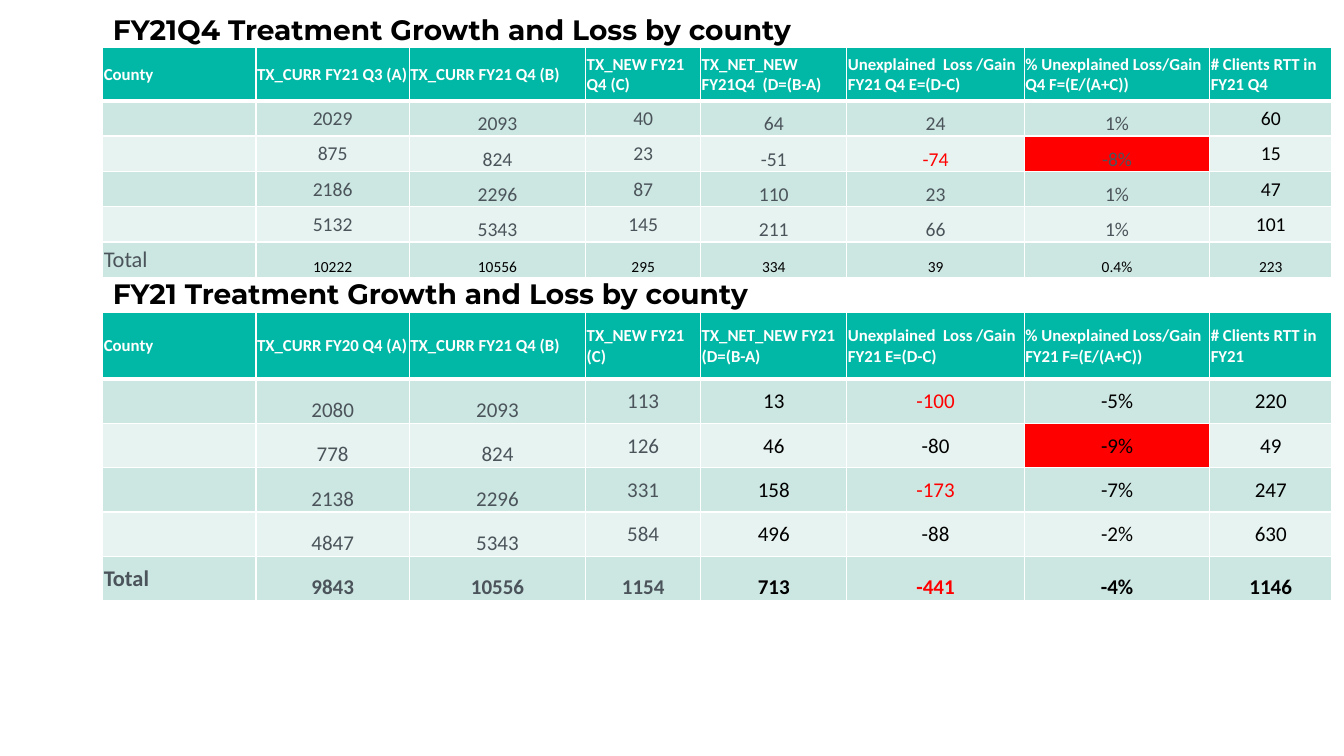
"""Build the slide of treatment growth and loss by county."""
from dataclasses import dataclass

from lxml import etree
from pptx import Presentation
from pptx import util as u
from pptx.dml.color import RGBColor
from pptx.enum import text
from pptx.oxml import ns

EMU_PER_PX = 9144
LEFT, WIDTH = 102, 1219
COLUMNS = [152, 152, 175, 114, 145, 176, 184, 121]
COLORS = {
    "header": "00B8A5", "odd": "CCE6E1", "even": "E7F3F0", "alert": "FF0000",
    "white": "FFFFFF", "black": "000000", "gray": "4B545B",
}
ANCHORS = {"m": text.MSO_ANCHOR.MIDDLE, "b": text.MSO_ANCHOR.BOTTOM}


@dataclass(frozen=True)
class CountyTable:
    top: int
    header_height: int
    row_height: int
    headers: list[str]
    rows: list[list[str]]
    totals: list[str]
    anchors: str
    gray_columns: int
    size: int
    total_size: int
    total_bold: bool
    gray_totals: int
    losses: set[str]
    alert: str


QUARTER = CountyTable(
    top=47, header_height=53, row_height=35,
    headers=["County", "TX_CURR FY21 Q3 (A)", "TX_CURR FY21 Q4 (B)", "TX_NEW FY21 Q4 (C)",
             "TX_NET_NEW FY21Q4  (D=(B-A)", "Unexplained  Loss /Gain FY21 Q4 E=(D-C)",
             "% Unexplained Loss/Gain Q4 F=(E/(A+C))", "# Clients RTT in FY21 Q4"],
    rows=[["", "2029", "2093", "40", "64", "24", "1%", "60"],
          ["", "875", "824", "23", "-51", "-74", "-8%", "15"],
          ["", "2186", "2296", "87", "110", "23", "1%", "47"],
          ["", "5132", "5343", "145", "211", "66", "1%", "101"]],
    totals=["Total", "10222", "10556", "295", "334", "39", "0.4%", "223"],
    anchors="mmbmbbbm", gray_columns=7, size=14, total_size=11, total_bold=False,
    gray_totals=1, losses={"-74"}, alert="-8%",
)
YEAR = CountyTable(
    top=310, header_height=66, row_height=44,
    headers=["County", "TX_CURR FY20 Q4 (A)", "TX_CURR FY21 Q4 (B)", "TX_NEW FY21 (C)",
             "TX_NET_NEW FY21  (D=(B-A)", "Unexplained  Loss /Gain FY21 E=(D-C)",
             "% Unexplained Loss/Gain FY21 F=(E/(A+C))", "# Clients RTT in FY21"],
    rows=[["", "2080", "2093", "113", "13", "-100", "-5%", "220"],
          ["", "778", "824", "126", "46", "-80", "-9%", "49"],
          ["", "2138", "2296", "331", "158", "-173", "-7%", "247"],
          ["", "4847", "5343", "584", "496", "-88", "-2%", "630"]],
    totals=["Total", "9843", "10556", "1154", "713", "-441", "-4%", "1146"],
    anchors="mbbmmmmm", gray_columns=4, size=15, total_size=15, total_bold=True,
    gray_totals=4, losses={"-100", "-173", "-441"}, alert="-9%",
)


def px(length: int) -> u.Emu:
    return u.Emu(length * EMU_PER_PX)


def rgb(name: str) -> RGBColor:
    return RGBColor.from_string(COLORS[name])


def add_run(p, words: str, font: str, size: int, color: str, bold: bool) -> None:
    r = p.add_run()
    r.text = words
    r.font.name, r.font.size, r.font.bold = font, u.Pt(size), bold
    r.font.color.rgb = rgb(color)


def fill_heading(sp, top: int, words: str) -> None:
    sp.left, sp.top, sp.width, sp.height = px(LEFT), px(top), px(WIDTH), px(33)
    tf = sp.text_frame
    tf.word_wrap = True
    tf.auto_size = text.MSO_AUTO_SIZE.NONE
    tf.vertical_anchor = text.MSO_ANCHOR.MIDDLE
    p = tf.paragraphs[0]
    p.alignment = text.PP_ALIGN.LEFT
    add_run(p, words, "Montserrat", 20, "black", True)


def set_borders(cell, top: int, bottom: int) -> None:
    tc_pr = cell._tc.get_or_add_tcPr()
    widths = {"a:lnL": 1, "a:lnR": 1, "a:lnT": top, "a:lnB": bottom}
    for index, (tag, width) in enumerate(widths.items()):
        line = etree.Element(ns.qn(tag), w=str(u.Pt(width)))
        fill = etree.SubElement(line, ns.qn("a:solidFill"))
        etree.SubElement(fill, ns.qn("a:srgbClr"), val=COLORS["white"])
        tc_pr.insert(index, line)


def fill_cell(cell, words: str, fill: str, anchor: str, centered: bool,
              size: int, color: str, bold: bool) -> None:
    cell.fill.solid()
    cell.fill.fore_color.rgb = rgb(fill)
    cell.margin_left = cell.margin_right = cell.margin_top = px(1)
    cell.margin_bottom = 0
    cell.vertical_anchor = ANCHORS[anchor]
    p = cell.text_frame.paragraphs[0]
    p.alignment = text.PP_ALIGN.CENTER if centered else text.PP_ALIGN.LEFT
    if words:
        add_run(p, words, "Calibri", size, color, bold)
    else:
        p.font.size = u.Pt(size)


def add_county_table(s, spec_table: CountyTable) -> None:
    t = spec_table
    grid = [t.headers, *t.rows, t.totals]
    last = len(grid) - 1
    height = t.header_height + last * t.row_height
    table = s.shapes.add_table(len(grid), len(COLUMNS), px(LEFT), px(t.top),
                               px(WIDTH), px(height)).table
    table.horz_banding = False
    for column, width in zip(table.columns, COLUMNS):
        column.width = px(width)
    for i, values in enumerate(grid):
        table.rows[i].height = px(t.row_height if i else t.header_height)
        for j, words in enumerate(values):
            cell = table.cell(i, j)
            if i == 0:
                fill_cell(cell, words, "header", "m", False, 12, "white", True)
            else:
                total = i == last
                fill = "alert" if words == t.alert else "odd" if i % 2 else "even"
                gray = j < (t.gray_totals if total else t.gray_columns)
                color = "alert" if words in t.losses else "gray" if gray else "black"
                anchor = "b" if total and j else t.anchors[j]
                size = (t.total_size if j else 16) if total else t.size
                fill_cell(cell, words, fill, anchor, j > 0, size, color,
                          total and t.total_bold)
            set_borders(cell, 3 if i == 1 else 1, 3 if i == 0 else 1)


def main() -> None:
    prs = Presentation()
    prs.slide_width, prs.slide_height = px(1333), px(750)
    s = prs.slides.add_slide(prs.slide_layouts[5])
    fill_heading(s.shapes.title, 13, "FY21Q4 Treatment Growth and Loss by county")
    add_county_table(s, QUARTER)
    year_heading = s.shapes.add_textbox(px(LEFT), px(274), px(WIDTH), px(33))
    fill_heading(year_heading, 274, "FY21 Treatment Growth and Loss by county")
    add_county_table(s, YEAR)
    prs.save("out.pptx")


if __name__ == "__main__":
    main()
